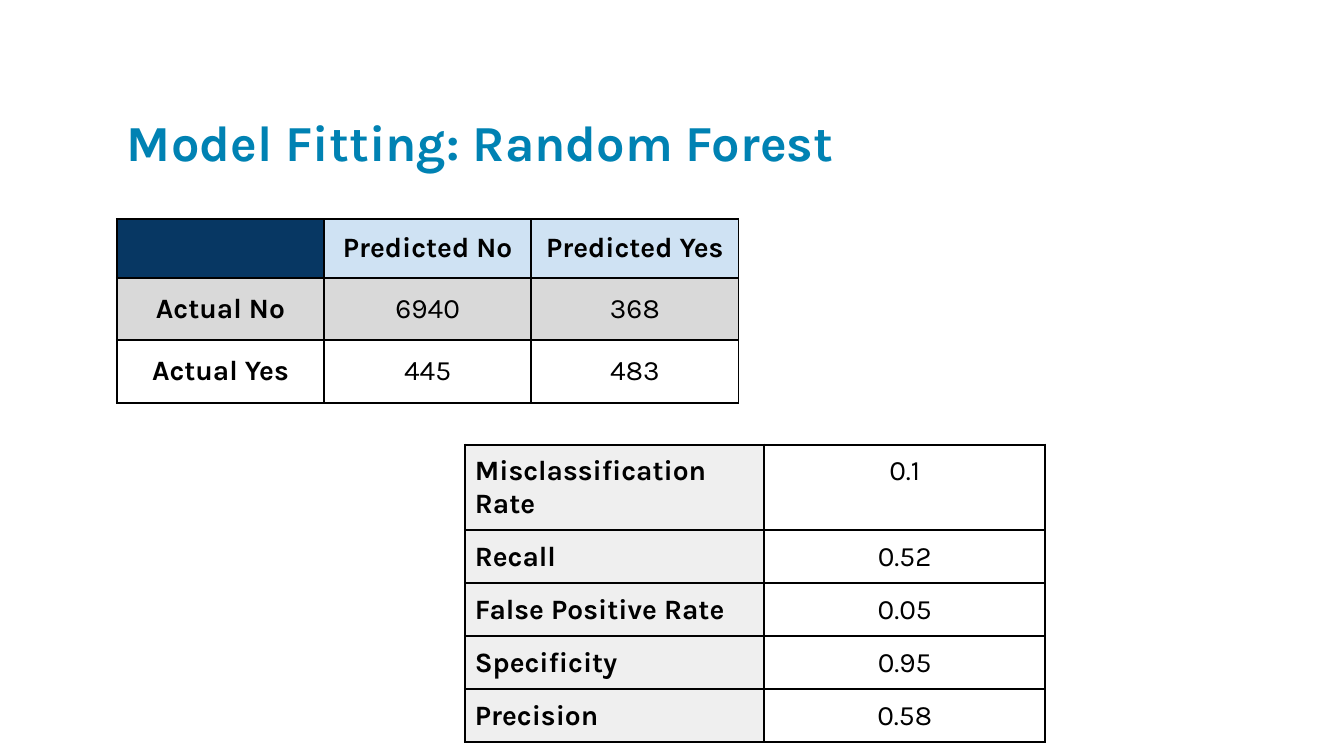
import pptx
import pptx.dml.color
import pptx.enum.text
import pptx.oxml
import pptx.util
from pptx.oxml.ns import nsdecls

Pt = pptx.util.Pt
RGBColor = pptx.dml.color.RGBColor
ALIGN = pptx.enum.text.PP_ALIGN
ANCHOR = pptx.enum.text.MSO_ANCHOR

BLUE = RGBColor(0x00, 0x82, 0xB3)
NAVY = RGBColor(0x07, 0x37, 0x63)
PALE_BLUE = RGBColor(0xCF, 0xE2, 0xF3)
GREY = RGBColor(0xD9, 0xD9, 0xD9)
PALE_GREY = RGBColor(0xEF, 0xEF, 0xEF)
BLACK = RGBColor(0, 0, 0)

HEADING = "Model Fitting: Random Forest"
CONFUSION = [
    ("", "Predicted No", "Predicted Yes"),
    ("Actual No", "6940", "368"),
    ("Actual Yes", "445", "483"),
]
CONFUSION_FILLS = [
    (NAVY, PALE_BLUE, PALE_BLUE),
    (GREY, GREY, GREY),
    (None, None, None),
]
METRICS = [
    ("Misclassification Rate", "0.1"),
    ("Recall", "0.52"),
    ("False Positive Rate", "0.05"),
    ("Specificity", "0.95"),
    ("Precision", "0.58"),
]
METRIC_FILLS = [(PALE_GREY, None)] * len(METRICS)


def write(frame, text, size=20, color=BLACK, bold=False, align=ALIGN.LEFT, spacing=None):
    paragraph = frame.paragraphs[0]
    paragraph.alignment = align
    paragraph.line_spacing = spacing
    font = paragraph.font
    if text:
        run = paragraph.add_run()
        run.text = text
        font = run.font
    font.name = "Karla"
    font.size = Pt(size)
    font.bold = bold
    font.color.rgb = color


def outline(cell):
    properties = cell._tc.get_or_add_tcPr()
    for side in ("lnL", "lnR", "lnT", "lnB"):
        properties.append(pptx.oxml.parse_xml(
            f'<a:{side} {nsdecls("a")} w="{Pt(1.5)}"><a:solidFill>'
            f'<a:srgbClr val="{BLACK}"/></a:solidFill></a:{side}>'))


def draw_grid(slide, rows, fills, left, top, widths, heights, anchor, label_align, header):
    grid = slide.shapes.add_table(
        len(rows), len(widths), Pt(left), Pt(top), Pt(sum(widths)), Pt(sum(heights))).table
    grid.first_row = header
    grid.horz_banding = False
    for column, width in zip(grid.columns, widths):
        column.width = Pt(width)
    for r, (labels, colors) in enumerate(zip(rows, fills)):
        grid.rows[r].height = Pt(heights[r])
        for c, (label, color) in enumerate(zip(labels, colors)):
            cell = grid.cell(r, c)
            cell.margin_left = cell.margin_right = Pt(7.2)
            cell.margin_top = cell.margin_bottom = Pt(7.2)
            cell.vertical_anchor = anchor
            outline(cell)
            if color is None:
                cell.fill.background()
            else:
                cell.fill.solid()
                cell.fill.fore_color.rgb = color
            write(cell.text_frame, label, bold=c == 0 or (header and r == 0),
                  align=label_align if c == 0 else ALIGN.CENTER)


def main():
    deck = pptx.Presentation()
    deck.slide_width, deck.slide_height = Pt(960), Pt(540)
    slide = deck.slides.add_slide(deck.slide_layouts[5])

    heading = slide.shapes.title
    heading.left, heading.top = Pt(83.5), Pt(41.8)
    heading.width, heading.height = Pt(684), Pt(84.2)
    frame = heading.text_frame
    frame.word_wrap = True
    frame.auto_size = pptx.enum.text.MSO_AUTO_SIZE.NONE
    frame.vertical_anchor = ANCHOR.BOTTOM
    frame.margin_left = frame.margin_right = Pt(7.2)
    frame.margin_top = frame.margin_bottom = Pt(3.6)
    write(frame, HEADING, size=36, color=BLUE, bold=True, spacing=0.8)

    draw_grid(slide, CONFUSION, CONFUSION_FILLS, 83.5, 156.7, [148] * 3,
              [41.8, 44.6, 44.6], ANCHOR.MIDDLE, ALIGN.CENTER, True)
    draw_grid(slide, METRICS, METRIC_FILLS, 332, 317.6, [213.8, 200.9],
              [30.2] * len(METRICS), ANCHOR.TOP, ALIGN.LEFT, False)
    deck.save("out.pptx")


if __name__ == "__main__":
    main()
